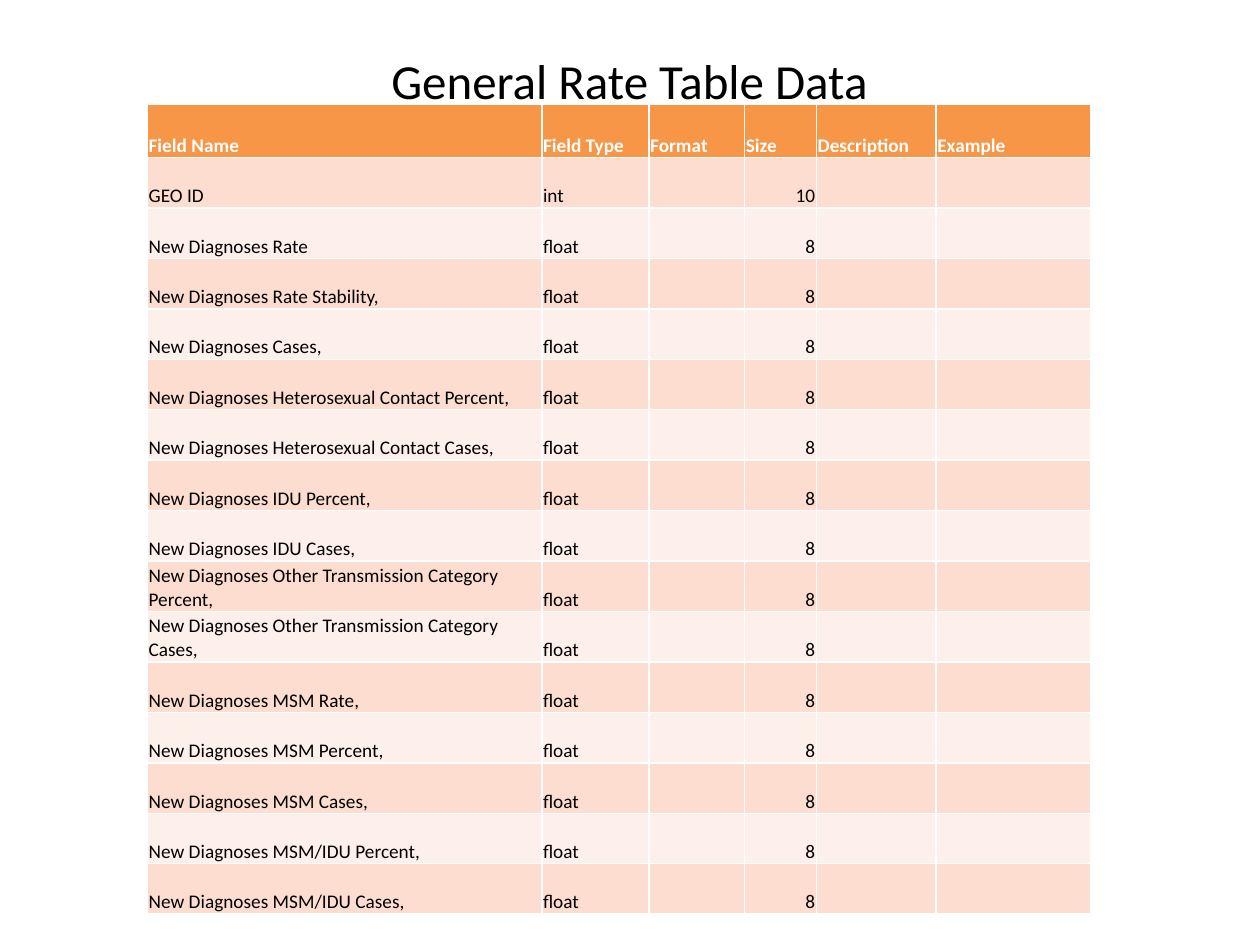
from pptx import Presentation
from pptx import util as u
from pptx.dml import color
from pptx.enum import text

FONT = "Calibri"
COLORS = {"head": "F79646", "odd": "FCDDCF", "even": "FDEFE9",
          "white": "FFFFFF", "black": "000000"}
HEADS = ["Field Name", "Field Type", "Format", "Size", "Description", "Example"]
FIELDS = ["Rate", "Rate Stability,", "Cases,",
          "Heterosexual Contact Percent,", "Heterosexual Contact Cases,",
          "IDU Percent,", "IDU Cases,",
          "Other Transmission Category Percent,",
          "Other Transmission Category Cases,",
          "MSM Rate,", "MSM Percent,", "MSM Cases,",
          "MSM/IDU Percent,", "MSM/IDU Cases,"]
ROWS = [HEADS, ["GEO ID", "int", "", "10", "", ""]]
ROWS += [["New Diagnoses " + field, "float", "", "8", "", ""] for field in FIELDS]
WIDTHS = [3.13, 0.85, 0.76, 0.57, 0.95, 1.23]
HEIGHTS = [0.42, 0.33, 0.35, 0.28, 0.3] + [0.33] * 11
SIZE_COL = HEADS.index("Size")


def tint(name):
    return color.RGBColor.from_string(COLORS[name])


def style(par, size, name, bold=False):
    for run in par.runs:
        run.font.name = FONT
        run.font.size = u.Pt(size)
        run.font.bold = bold
        run.font.color.rgb = tint(name)


def add_title(slide, box):
    title = slide.shapes.title
    title.left, title.top, title.width, title.height = map(u.Inches, box)
    frame = title.text_frame
    frame.text = "General Rate Table Data"
    frame.auto_size = text.MSO_AUTO_SIZE.SHAPE_TO_FIT_TEXT
    par = frame.paragraphs[0]
    par.alignment = text.PP_ALIGN.CENTER
    style(par, 28, "black")


def fill_cell(cell, words, row, col):
    band = "head" if row == 0 else "odd" if row % 2 else "even"
    cell.fill.solid()
    cell.fill.fore_color.rgb = tint(band)
    if not words:
        return
    cell.margin_left = cell.margin_right = cell.margin_top = u.Inches(0.01)
    cell.margin_bottom = 0
    cell.vertical_anchor = text.MSO_ANCHOR.BOTTOM
    cell.text_frame.text = words
    par = cell.text_frame.paragraphs[0]
    if row and col == SIZE_COL:
        par.alignment = text.PP_ALIGN.RIGHT
    style(par, 11, "black" if row else "white", bold=row == 0)


def add_fields(slide, box):
    frame = slide.shapes.add_table(len(ROWS), len(HEADS), *map(u.Inches, box))
    table = frame.table
    for col, width in zip(table.columns, WIDTHS):
        col.width = u.Inches(width)
    for row, height in zip(table.rows, HEIGHTS):
        row.height = u.Inches(height)
    for r, line in enumerate(ROWS):
        for c, words in enumerate(line):
            fill_cell(table.cell(r, c), words, r, c)


def main():
    deck = Presentation()
    deck.slide_width, deck.slide_height = u.Inches(10), u.Inches(7.5)
    slide = deck.slides.add_slide(deck.slide_layouts.get_by_name("Title Only"))
    add_title(slide, (1.83, 0.35, 6.33, 0.57))
    add_fields(slide, (1.17, 0.83, 7.5, 6.42))
    deck.save("out.pptx")


if __name__ == "__main__":
    main()
